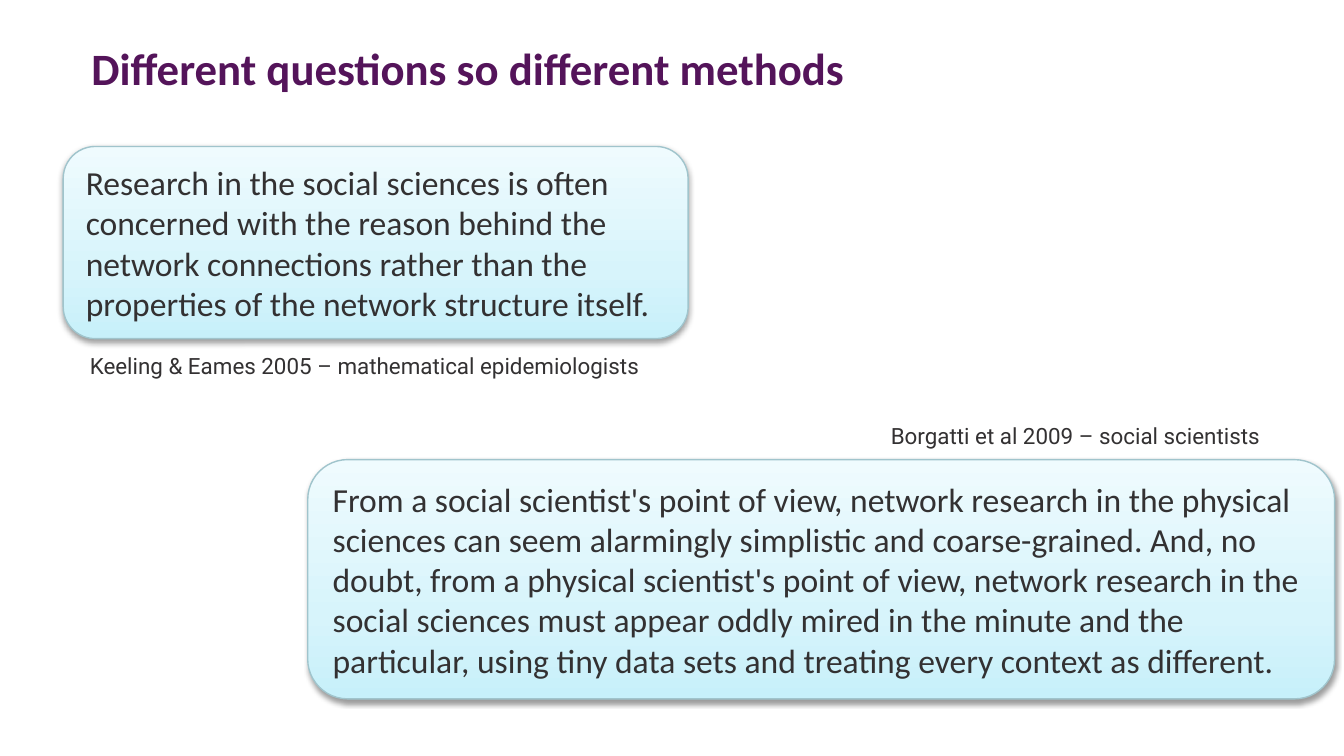
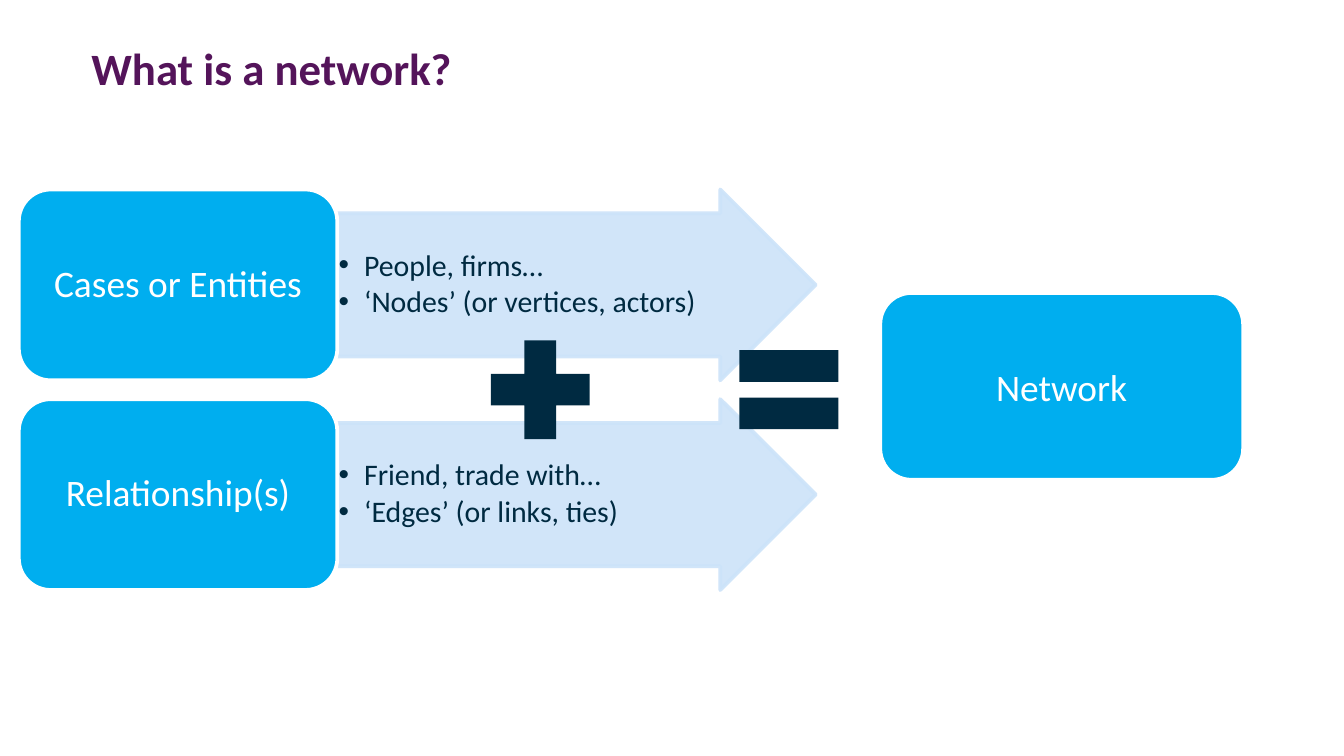
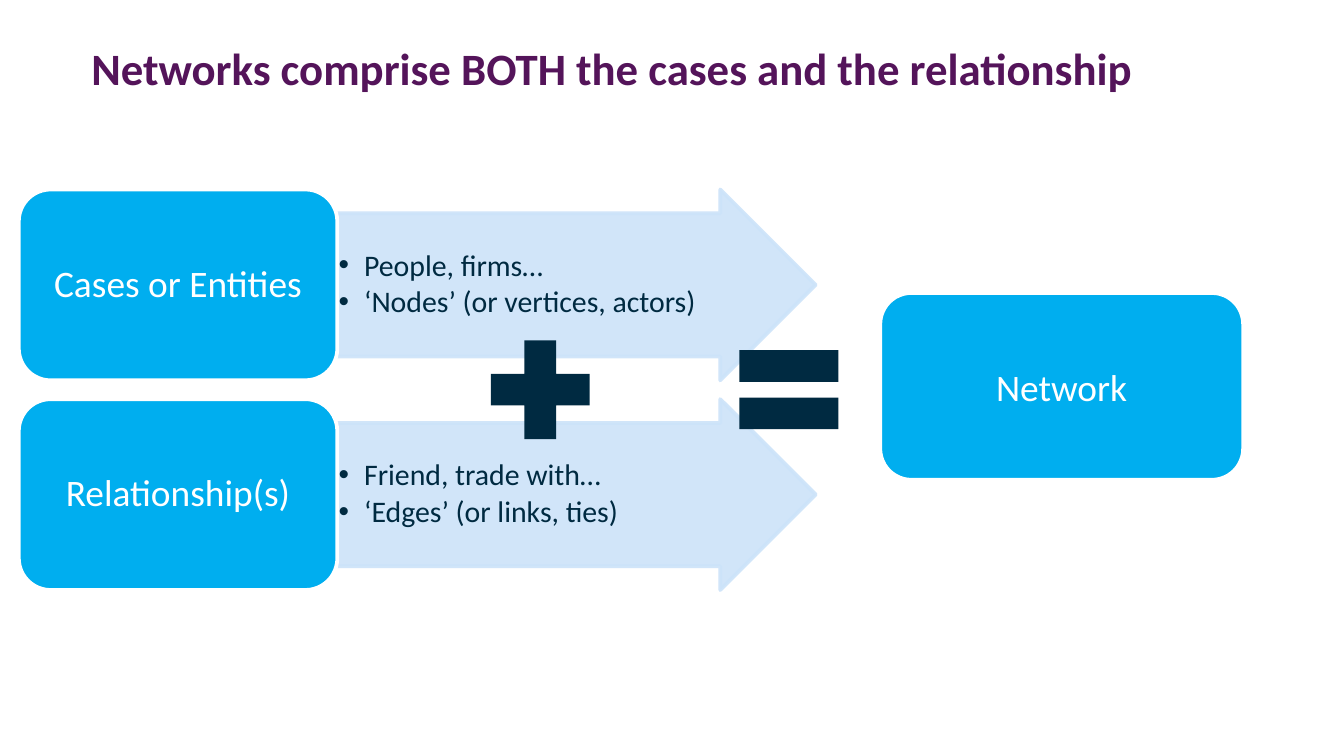
"""Build three slides on what a network is and who studies it."""

from dataclasses import dataclass

from lxml.etree import SubElement
from pptx import Presentation
from pptx.dml.color import RGBColor
from pptx.enum.shapes import MSO_SHAPE
from pptx.enum.text import MSO_ANCHOR, MSO_AUTO_SIZE, PP_ALIGN
from pptx.oxml.ns import qn
from pptx.shapes.autoshape import Shape
from pptx.slide import Slide
from pptx.util import Inches, Pt


@dataclass(frozen=True)
class Theme:
    font: str = "Calibri"
    note_font: str = "Roboto"
    title: str = "54145A"
    ink: str = "333132"
    navy: str = "002A41"
    white: str = "FFFFFF"
    blue: str = "00AEEF"
    pale: str = "CCE3F9"
    edge: str = "A0C4CC"
    fade: tuple = ((0, "C7F0FA"), (35, "D7F4FB"), (100, "EFFBFE"))
    title_size: int = 24
    label_size: int = 20
    quote_size: int = 18
    list_size: int = 16
    note_size: int = 12


@dataclass(frozen=True)
class Box:
    left: float
    top: float
    width: float
    height: float

    def lengths(self) -> tuple:
        return tuple(map(Inches, (self.left, self.top, self.width, self.height)))


@dataclass(frozen=True)
class Quote:
    box: Box
    text: str
    note_box: Box
    note: str


@dataclass(frozen=True)
class Part:
    label: str
    items: tuple


THEME = Theme()
TITLE_BOX = Box(0.68, 0.3, 8.64, 0.94)
LABEL_PAD = (0.08, 0.04)
LIST_PAD = (0.01, 0.01)
ROW_TOP, ROW_STEP, ROW_HEIGHT = 1.41, 1.56, 1.42
LABEL_LEFT, LABEL_WIDTH, LABEL_INSET = 0.14, 2.37, 0.07
ARROW_LEFT, ARROW_WIDTH = LABEL_LEFT + LABEL_WIDTH, 3.56
LIST_WIDTH, LIST_INSET = 3.03, 0.18

QUOTES = (
    Quote(
        Box(0.47, 1.09, 4.65, 1.43),
        "Research in the social sciences is often concerned with the reason "
        "behind the network connections rather than the properties of the "
        "network structure itself.",
        Box(0.57, 2.57, 4.3, 0.3),
        "Keeling & Eames 2005 – mathematical epidemiologists",
    ),
    Quote(
        Box(2.29, 3.42, 7.64, 1.78),
        "From a social scientist's point of view, network research in the "
        "physical sciences can seem alarmingly simplistic and coarse-grained. "
        "And, no doubt, from a physical scientist's point of view, network "
        "research in the social sciences must appear oddly mired in the minute "
        "and the particular, using tiny data sets and treating every context "
        "as different.",
        Box(6.53, 3.09, 3.07, 0.3),
        "Borgatti et al 2009 – social scientists",
    ),
)
PARTS = (
    Part("Cases or Entities", ("People, firms…", "‘Nodes’ (or vertices, actors)")),
    Part("Relationship(s)", ("Friend, trade with…", "‘Edges’ (or links, ties)")),
)
SIGNS = (
    (MSO_SHAPE.MATH_PLUS, Box(3.52, 2.4, 1, 1)),
    (MSO_SHAPE.MATH_EQUAL, Box(5.37, 2.4, 1, 1)),
)
RESULT_BOX = Box(6.55, 2.18, 2.7, 1.39)


def write(shape: Shape, *lines: str, size: int, color: str, font: str = THEME.font,
          bold: bool = False, align: PP_ALIGN = PP_ALIGN.LEFT,
          anchor: MSO_ANCHOR = MSO_ANCHOR.MIDDLE, pad: tuple = (0.1, 0.05),
          wrap: bool = True, bullet: bool = False, pitch: float = 1.0) -> None:
    frame = shape.text_frame
    frame.word_wrap = wrap
    frame.auto_size = MSO_AUTO_SIZE.NONE if wrap else MSO_AUTO_SIZE.SHAPE_TO_FIT_TEXT
    frame.vertical_anchor = anchor
    frame.margin_left = frame.margin_right = Inches(pad[0])
    frame.margin_top = frame.margin_bottom = Inches(pad[1])
    frame.text = "\n".join(lines)
    for para in frame.paragraphs:
        if bullet:
            props = para._p.get_or_add_pPr()
            props.set("marL", str(Inches(0.19)))
            props.set("indent", str(-Inches(0.19)))
            SubElement(props, qn("a:buFont"), typeface="Arial")
            SubElement(props, qn("a:buChar"), char="•")
            para.level = 1
            para.space_after = Pt(2.4)
        para.alignment = align
        para.line_spacing = pitch
        para.font.name = font
        para.font.size = Pt(size)
        para.font.bold = bold
        para.font.color.rgb = RGBColor.from_string(color)


def draw(shapes, kind: MSO_SHAPE, box: Box, fill: str | None = None,
         line: str | None = None, weight: float = 2) -> Shape:
    shape = shapes.add_shape(kind, *box.lengths())
    shape.shadow.inherit = False
    if fill:
        shape.fill.solid()
        shape.fill.fore_color.rgb = RGBColor.from_string(fill)
    if line:
        shape.line.color.rgb = RGBColor.from_string(line)
        shape.line.width = Pt(weight)
    else:
        shape.line.fill.background()
    return shape


def shade(shape: Shape) -> None:
    shape.fill.gradient()
    shape.fill.gradient_angle = 90
    props = shape._element.spPr
    stops = props.find(f"{qn('a:gradFill')}/{qn('a:gsLst')}")
    for stop in list(stops):
        stops.remove(stop)
    for place, color in THEME.fade:
        stop = SubElement(stops, qn("a:gs"), pos=str(place * 1000))
        SubElement(stop, qn("a:srgbClr"), val=color)
    glow = SubElement(props.find(qn("a:effectLst")), qn("a:outerShdw"),
                      blurRad=str(Pt(3.1)), dist=str(Pt(1.6)),
                      dir="5400000", rotWithShape="0")
    tint = SubElement(glow, qn("a:srgbClr"), val="000000")
    SubElement(tint, qn("a:alpha"), val="38000")


def add_quote(slide: Slide, quote: Quote) -> None:
    panel = draw(slide.shapes, MSO_SHAPE.ROUNDED_RECTANGLE, quote.box,
                 line=THEME.edge, weight=0.75)
    shade(panel)
    write(panel, quote.text, size=THEME.quote_size, color=THEME.ink)
    note = slide.shapes.add_textbox(*quote.note_box.lengths())
    write(note, quote.note, size=THEME.note_size, color=THEME.ink,
          font=THEME.note_font, anchor=MSO_ANCHOR.TOP, wrap=False)


def add_tile(shapes, box: Box) -> Shape:
    return draw(shapes, MSO_SHAPE.ROUNDED_RECTANGLE, box, THEME.blue, THEME.white)


def label(shape: Shape, text: str, pitch: float = 1.0) -> None:
    write(shape, text, size=THEME.label_size, color=THEME.white,
          align=PP_ALIGN.CENTER, pad=LABEL_PAD, pitch=pitch)


def add_part(shapes, part: Part, top: float) -> None:
    arrow = draw(shapes, MSO_SHAPE.RIGHT_ARROW,
                 Box(ARROW_LEFT, top, ARROW_WIDTH, ROW_HEIGHT),
                 THEME.pale, THEME.pale)
    arrow.adjustments[0], arrow.adjustments[1] = 0.75, 0.5
    for color in list(arrow._element.spPr.iter(qn("a:srgbClr"))):
        SubElement(color, qn("a:alpha"), val="90000")
    items = shapes.add_textbox(*Box(
        ARROW_LEFT, top + LIST_INSET, LIST_WIDTH,
        ROW_HEIGHT - 2 * LIST_INSET).lengths())
    write(items, *part.items, size=THEME.list_size, color=THEME.navy,
          pad=LIST_PAD, bullet=True, pitch=0.9)
    add_tile(shapes, Box(LABEL_LEFT, top, LABEL_WIDTH, ROW_HEIGHT))
    name = shapes.add_textbox(*Box(
        LABEL_LEFT + LABEL_INSET, top + LABEL_INSET,
        LABEL_WIDTH - 2 * LABEL_INSET, ROW_HEIGHT - 2 * LABEL_INSET).lengths())
    label(name, part.label, pitch=0.9)


def add_sum(slide: Slide) -> None:
    group = slide.shapes.add_group_shape()
    for row, part in enumerate(PARTS):
        add_part(group.shapes, part, ROW_TOP + row * ROW_STEP)
    for kind, box in SIGNS:
        draw(slide.shapes, kind, box, THEME.navy)
    label(add_tile(slide.shapes, RESULT_BOX), "Network")


def add_slide(deck, text: str) -> Slide:
    slide = deck.slides.add_slide(deck.slide_layouts[5])
    title = slide.shapes.title
    title.left, title.top, title.width, title.height = TITLE_BOX.lengths()
    write(title, text, size=THEME.title_size, color=THEME.title, bold=True,
          anchor=MSO_ANCHOR.TOP, pad=(0, 0))
    return slide


def main() -> None:
    deck = Presentation()
    deck.slide_width = Inches(10)
    deck.slide_height = deck.slide_width * 9 // 16
    slide = add_slide(deck, "Different questions so different methods")
    for quote in QUOTES:
        add_quote(slide, quote)
    for text in ("What is a network?",
                 "Networks comprise BOTH the cases and the relationship"):
        add_sum(add_slide(deck, text))
    deck.save("out.pptx")


if __name__ == "__main__":
    main()
